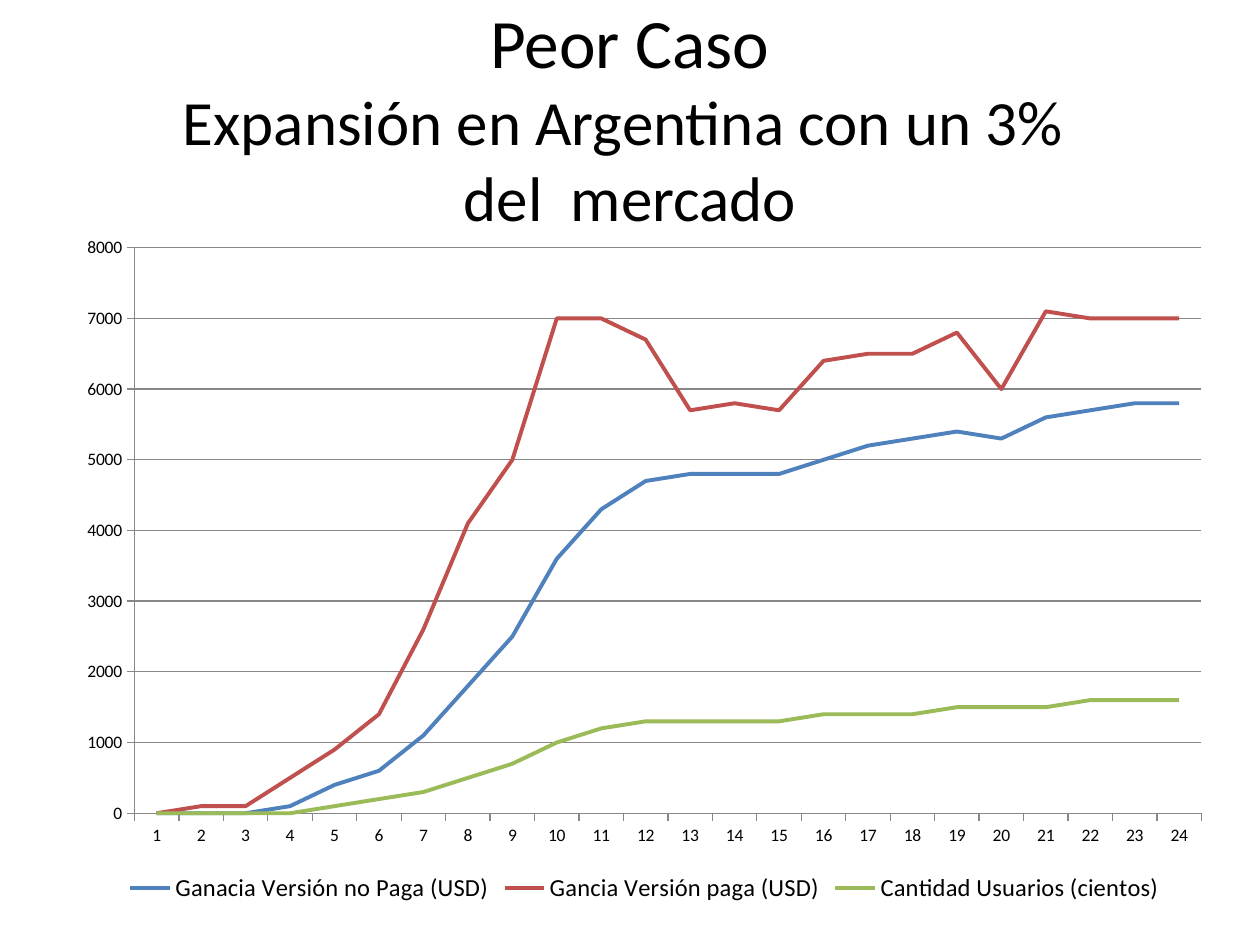
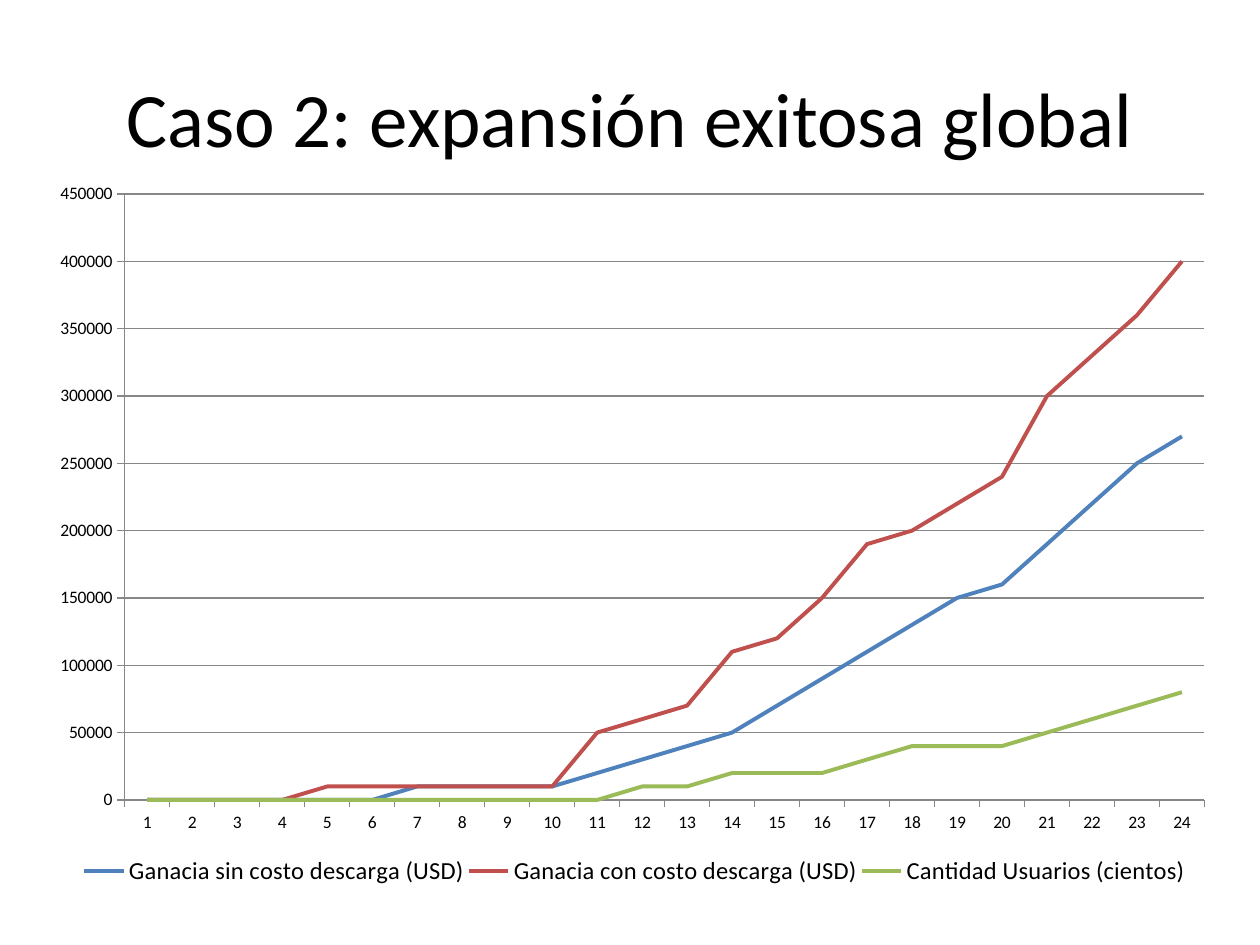
from dataclasses import dataclass
from typing import Any, Optional

from lxml.etree import SubElement
from pptx import Presentation
from pptx.chart.chart import Chart
from pptx.chart.data import CategoryChartData
from pptx.dml.color import RGBColor
from pptx.enum.chart import XL_CHART_TYPE, XL_LEGEND_POSITION, XL_MARKER_STYLE, XL_TICK_MARK
from pptx.enum.text import MSO_ANCHOR, PP_ALIGN
from pptx.oxml.ns import qn
from pptx.util import Emu, Pt

EMU_PER_PX = 9144
FONT_NAME = "Calibri"
BLACK = RGBColor(0x00, 0x00, 0x00)
GREY = RGBColor(0x87, 0x87, 0x87)
SERIES_COLORS = (
    RGBColor(0x4F, 0x81, 0xBD),
    RGBColor(0xC0, 0x50, 0x4D),
    RGBColor(0x9B, 0xBB, 0x59),
)
MONTHS = [str(month) for month in range(1, 25)]
TITLE_ONLY_LAYOUT = 5


@dataclass(frozen=True)
class Box:
    left: int
    top: int
    width: int
    height: int

    def emu(self) -> tuple[Emu, ...]:
        sides = (self.left, self.top, self.width, self.height)
        return tuple(Emu(side * EMU_PER_PX) for side in sides)

    def fractions_of(self, outer: "Box") -> dict[str, float]:
        return {
            "x": self.left / outer.width,
            "y": self.top / outer.height,
            "w": self.width / outer.width,
            "h": self.height / outer.height,
        }


@dataclass(frozen=True)
class TitleRun:
    text: str
    size: float


@dataclass(frozen=True)
class Line:
    name: str
    values: tuple[int, ...]


@dataclass(frozen=True)
class CaseSlide:
    title: tuple[TitleRun, ...]
    chart_box: Box
    unit: int
    axis_maximum: int
    axis_step: int
    lines: tuple[Line, ...]
    plot_box: Optional[Box] = None
    legend_box: Optional[Box] = None


TITLE_BOX = Box(50, 30, 900, 125)

CASES = (
    CaseSlide(
        title=(
            TitleRun("Peor Caso\v", 39.6),
            TitleRun("Expansión en Argentina con un 3% \vdel  mercado", 36),
        ),
        chart_box=Box(51, 178, 921, 543),
        unit=100,
        axis_maximum=8000,
        axis_step=1000,
        lines=(
            Line("Ganacia Versión no Paga (USD)", (
                0, 0, 0, 1, 4, 6, 11, 18, 25, 36, 43, 47,
                48, 48, 48, 50, 52, 53, 54, 53, 56, 57, 58, 58)),
            Line("Gancia Versión paga (USD)", (
                0, 1, 1, 5, 9, 14, 26, 41, 50, 70, 70, 67,
                57, 58, 57, 64, 65, 65, 68, 60, 71, 70, 70, 70)),
            Line("Cantidad Usuarios (cientos)", (
                0, 0, 0, 0, 1, 2, 3, 5, 7, 10, 12, 13,
                13, 13, 13, 14, 14, 14, 15, 15, 15, 16, 16, 16)),
        ),
    ),
    CaseSlide(
        title=(TitleRun("Caso 2: expansión exitosa global", 44),),
        chart_box=Box(35, 139, 937, 591),
        unit=10000,
        axis_maximum=450000,
        axis_step=50000,
        lines=(
            Line("Ganacia sin costo descarga (USD)", (
                0, 0, 0, 0, 0, 0, 1, 1, 1, 1, 2, 3,
                4, 5, 7, 9, 11, 13, 15, 16, 19, 22, 25, 27)),
            Line("Ganacia con costo descarga (USD)", (
                0, 0, 0, 0, 1, 1, 1, 1, 1, 1, 5, 6,
                7, 11, 12, 15, 19, 20, 22, 24, 30, 33, 36, 40)),
            Line("Cantidad Usuarios (cientos)", (
                0, 0, 0, 0, 0, 0, 0, 0, 0, 0, 0, 1,
                1, 2, 2, 2, 3, 4, 4, 4, 5, 6, 7, 8)),
        ),
        plot_box=Box(64, 15, 857, 481),
        legend_box=Box(28, 534, 881, 36),
    ),
)


def apply_format(target: Any, values: dict[str, Any]) -> None:
    for name, value in values.items():
        setattr(target, name, value)


def format_font(font: Any, size: float) -> None:
    apply_format(font, {"name": FONT_NAME, "size": Pt(size), "bold": False})
    font.color.rgb = BLACK


def format_line(line: Any, color: RGBColor, width: float) -> None:
    line.color.rgb = color
    line.width = Pt(width)


def write_title(slide: Any, runs: tuple[TitleRun, ...]) -> None:
    title = slide.shapes.title
    apply_format(title, dict(zip(("left", "top", "width", "height"), TITLE_BOX.emu())))
    apply_format(title.text_frame, {"word_wrap": True, "vertical_anchor": MSO_ANCHOR.MIDDLE})
    paragraph = title.text_frame.paragraphs[0]
    paragraph.alignment = PP_ALIGN.CENTER
    for title_run in runs:
        for index, text in enumerate(title_run.text.split("\v")):
            if index:
                paragraph.add_line_break()
            if text:
                run = paragraph.add_run()
                run.text = text
                format_font(run.font, title_run.size)


def place_part(part: Any, index: int, settings: dict[str, Any]) -> None:
    layout = part.find(qn("c:layout"))
    if layout is None:
        layout = SubElement(part, qn("c:layout"))
        part.insert(index, layout)
    manual = SubElement(layout, qn("c:manualLayout"))
    for name, value in settings.items():
        SubElement(manual, qn(f"c:{name}")).set("val", str(value))


def place_chart_parts(chart: Chart, case: CaseSlide) -> None:
    chart_element = chart._chartSpace.chart
    edges = {"xMode": "edge", "yMode": "edge"}
    if case.plot_box:
        place_part(chart_element.plotArea, 0, {
            "layoutTarget": "inner", **edges, **case.plot_box.fractions_of(case.chart_box),
        })
    if case.legend_box:
        place_part(chart_element.find(qn("c:legend")), 1, {
            **edges, **case.legend_box.fractions_of(case.chart_box),
        })


def format_axes(chart: Chart, case: CaseSlide) -> None:
    for axis in (chart.category_axis, chart.value_axis):
        apply_format(axis, {
            "major_tick_mark": XL_TICK_MARK.OUTSIDE,
            "minor_tick_mark": XL_TICK_MARK.NONE,
        })
        format_line(axis.format.line, GREY, 0.75)
        format_font(axis.tick_labels.font, 10)
    apply_format(chart.value_axis, {
        "minimum_scale": 0,
        "maximum_scale": case.axis_maximum,
        "major_unit": case.axis_step,
        "has_major_gridlines": True,
    })
    apply_format(chart.value_axis.tick_labels, {
        "number_format": "0",
        "number_format_is_linked": False,
    })
    format_line(chart.value_axis.major_gridlines.format.line, GREY, 0.75)


def add_line_chart(slide: Any, case: CaseSlide) -> None:
    chart_data = CategoryChartData(number_format="0")
    chart_data.categories = MONTHS
    for line in case.lines:
        chart_data.add_series(line.name, [value * case.unit for value in line.values])
    chart = slide.shapes.add_chart(
        XL_CHART_TYPE.LINE, *case.chart_box.emu(), chart_data
    ).chart
    apply_format(chart, {"has_title": False, "has_legend": True})
    format_font(chart.font, 10)
    apply_format(chart.legend, {
        "position": XL_LEGEND_POSITION.BOTTOM,
        "include_in_layout": False,
    })
    format_font(chart.legend.font, 14)
    chart.plots[0].vary_by_categories = False
    for series, color in zip(chart.plots[0].series, SERIES_COLORS):
        series.smooth = False
        series.marker.style = XL_MARKER_STYLE.NONE
        format_line(series.format.line, color, 2.25)
    format_axes(chart, case)
    place_chart_parts(chart, case)


def main() -> None:
    presentation = Presentation()
    apply_format(presentation, {
        "slide_width": Emu(1000 * EMU_PER_PX),
        "slide_height": Emu(750 * EMU_PER_PX),
    })
    for case in CASES:
        slide = presentation.slides.add_slide(presentation.slide_layouts[TITLE_ONLY_LAYOUT])
        write_title(slide, case.title)
        add_line_chart(slide, case)
    presentation.save("out.pptx")


if __name__ == "__main__":
    main()
